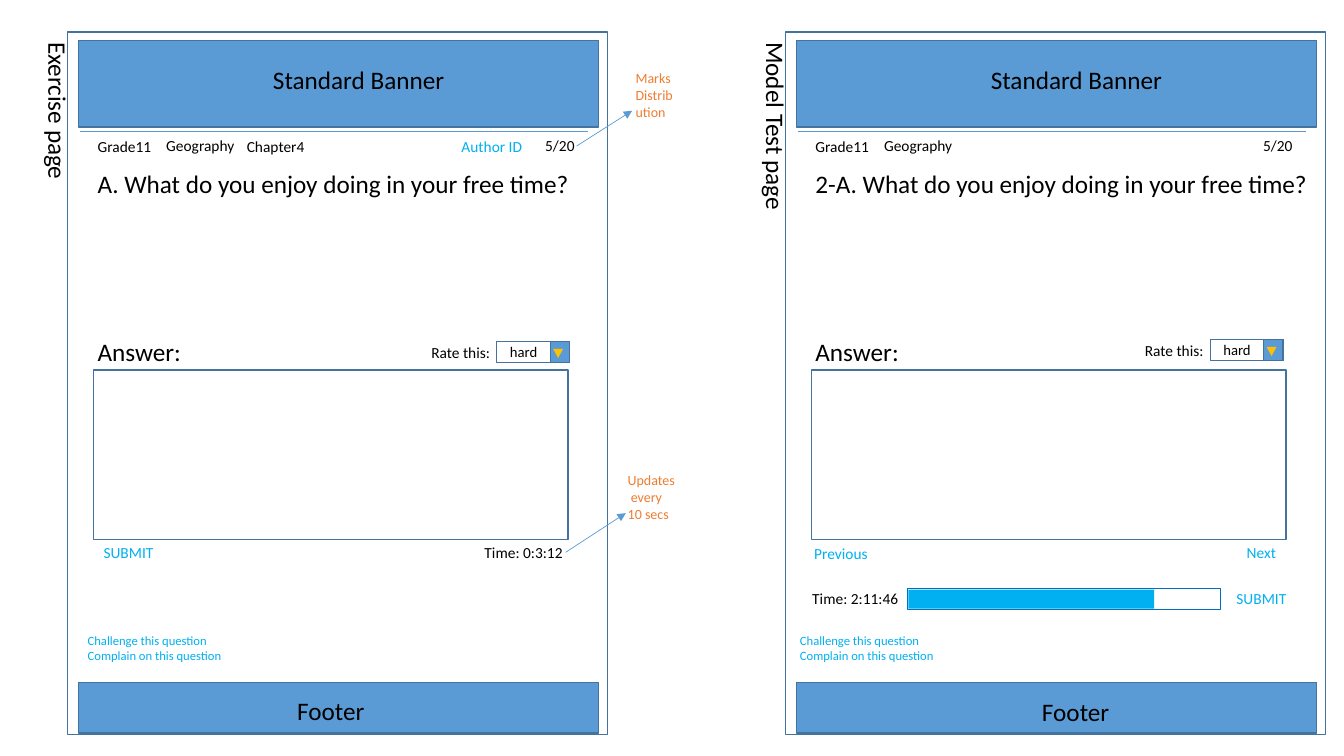
from lxml import etree
from pptx import Presentation
from pptx.dml.color import RGBColor
from pptx.enum import shapes as es, text as et
from pptx.oxml.ns import qn
from pptx.util import Cm, Pt

BLACK = RGBColor(0, 0, 0)
BLUE = RGBColor(0x5B, 0x9B, 0xD5)
EDGE = RGBColor(0x43, 0x73, 0x9E)
SKY = RGBColor(0x00, 0xB0, 0xF0)
NAVY = RGBColor(0x00, 0x70, 0xC0)
ORANGE = RGBColor(0xED, 0x7D, 0x31)
GOLD = RGBColor(0xFF, 0xC0, 0x00)
RECT = es.MSO_SHAPE.RECTANGLE

deck = Presentation()
deck.slide_width, deck.slide_height = Cm(33.87), Cm(19.05)
items = deck.slides.add_slide(deck.slide_layouts[6]).shapes


def block(x, y, w, h, fill=None, edge=EDGE, width=1, kind=RECT):
    shape = items.add_shape(kind, Cm(x), Cm(y), Cm(w), Cm(h))
    shape.shadow.inherit = False
    if fill is None:
        shape.fill.background()
    else:
        shape.fill.solid()
        shape.fill.fore_color.rgb = fill
    if edge is None:
        shape.line.fill.background()
    else:
        shape.line.color.rgb = edge
        shape.line.width = Pt(width)
    return shape


def label(words, x, y, w, h=0.74, size=11, color=BLACK):
    """Add an unwrapped text box with one paragraph per line of words."""
    box = items.add_textbox(Cm(x), Cm(y), Cm(w), Cm(h))
    frame = box.text_frame
    frame.word_wrap = False
    frame.auto_size = et.MSO_AUTO_SIZE.SHAPE_TO_FIT_TEXT
    for i, line in enumerate(words.split("\n")):
        para = frame.add_paragraph() if i else frame.paragraphs[0]
        run = para.add_run()
        run.text = line
        run.font.name = "Calibri"
        run.font.size = Pt(size)
        run.font.color.rgb = color
    return frame


# Parts shared by both pages: left shift, name and its length,
# question and its width, footer text place, rating shift, links place
pages = [
    (0, "Exercise page", 3.76, "A. What do you enjoy doing in your free time?",
     12.55, 7.24, 17.4, 0, 0, 1.96),
    (18.09, "Model Test page", 4.55,
     "2-A. What do you enjoy doing in your free time?",
     13.06, 26.01, 17.42, 17.98, -0.05, 19.91),
]
for dx, name, size, ask, wide, foot_x, foot_y, rate_x, rate_y, link_x in pages:
    block(dx + 1.7, 0.81, 13.61, 17.7)
    side = label(name, dx + 0.71, 0.81, 1.27, size, 18)
    side._txBody.bodyPr.set("vert", "eaVert")
    block(dx + 1.98, 1.02, 13.11, 2.18, BLUE)
    label("Standard Banner", dx + 6.63, 1.5, 4.88, 1.02, 18)
    block(dx + 1.98, 17.2, 13.11, 1.27, BLUE)
    label("Footer", foot_x, foot_y, 2.24, 1.02, 18)

    label("Grade11", dx + 2.21, 3.33, 1.88)
    label("Geography", dx + 3.94, 3.3, 2.26)
    label("5/20", dx + 13.49, 3.3, 1.27)
    label(ask, dx + 2.21, 4.11, wide, 1.02, 18)
    label("Answer:", dx + 2.21, 8.36, 2.64, 1.02, 18)
    block(dx + 2.36, 9.32, 11.96, 4.27)

    label("Rate this:", rate_x + 10.62, rate_y + 8.51, 2.01)
    block(rate_x + 12.52, rate_y + 8.61, 1.83, 0.53)
    block(rate_x + 13.87, rate_y + 8.61, 0.48, 0.53, BLUE)
    mark = block(rate_x + 13.94, rate_y + 8.79, 0.25, 0.23, GOLD, None,
                 kind=es.MSO_SHAPE.ISOSCELES_TRIANGLE)
    mark.rotation = 180
    label(" hard", rate_x + 12.52, rate_y + 8.52, 1.3, 0.71, 10.5)
    label("Challenge this question\nComplain on this question",
          link_x, 15.82, 3.91, 1.02, 9, SKY)

# Exercise page only
label("Chapter4", 5.97, 3.33, 1.98)
label("Author ID", 11.38, 3.33, 2.06, color=SKY)
label("SUBMIT", 2.36, 13.56, 1.78, color=SKY)
label("Time: 0:3:12", 11.96, 13.56, 2.51)
label("Marks\nDistrib\nution", 15.77, 1.63, 1.47, 1.55, 10, ORANGE)
label("Updates\n every\n10 secs", 15.57, 11.76, 1.73, 1.55, 10, ORANGE)

# Model test page only
label("Previous", 20.27, 13.59, 1.88, color=SKY)
label("Next", 31.17, 13.56, 1.27, color=SKY)
label("Time: 2:11:46", 20.22, 14.73, 2.72)
label("SUBMIT", 30.91, 14.71, 1.78, color=SKY)
block(22.86, 14.83, 7.9, 0.51, None, NAVY, 0.25)
block(22.89, 14.86, 6.2, 0.48, SKY, None)

# Rules under the banners, then arrows to the notes
lines = [
    (2.01, 3.3, 14.81, 3.3, False),
    (20.1, 3.3, 32.91, 3.3, False),
    (14.53, 3.68, 15.93, 2.79, True),
    (14.25, 13.92, 15.77, 12.93, True),
]
for x1, y1, x2, y2, arrow in lines:
    link = items.add_connector(es.MSO_CONNECTOR.STRAIGHT,
                               Cm(x1), Cm(y1), Cm(x2), Cm(y2))
    link.line.color.rgb = BLUE
    link.line.width = Pt(0.5)
    if arrow:
        etree.SubElement(link.line._get_or_add_ln(), qn("a:tailEnd"),
                         type="triangle")
    etree.SubElement(link._element.spPr, qn("a:effectLst"))

deck.save("out.pptx")
